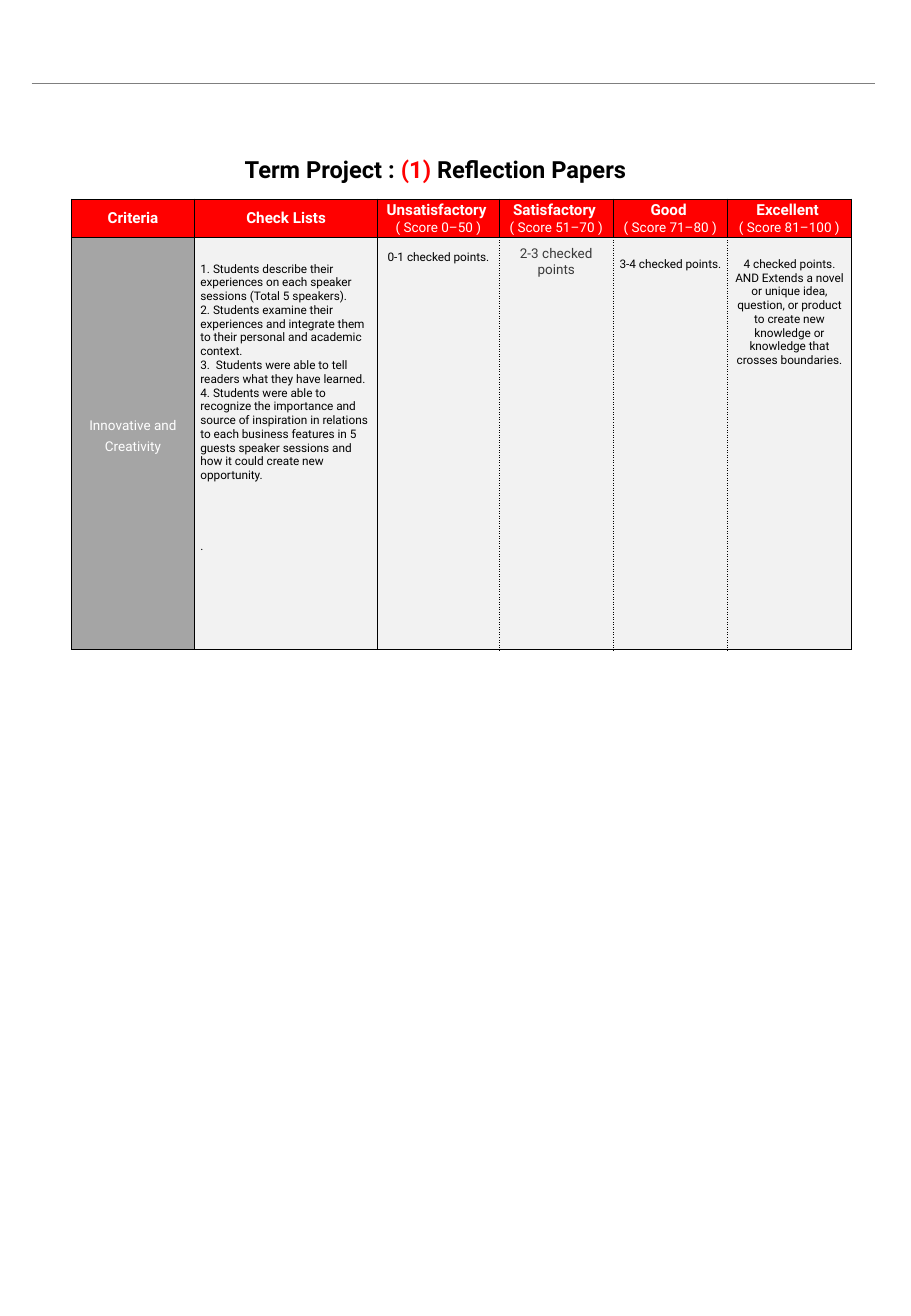
from lxml import etree
from pptx import Presentation
from pptx import util as u
from pptx.dml.color import RGBColor
from pptx.enum import text
from pptx.oxml import ns

COLORS = {"black": "000000", "white": "FFFFFF", "red": "FF0000", "rule": "7F7F7F",
          "criteria": "A5A5A5", "body": "F2F2F2", "muted": "3A3A3A"}
FONT = "Roboto"
WIDTH, HEIGHT = 7.5, 10.84
COLUMNS = [1.01, 1.51, 1, 0.94, 0.94, 1.02]
ROWS = [0.32, 3.39]
FIRST_DOTTED = 3
HEADERS = [("Criteria", None), ("Check Lists", None),
           ("Unsatisfactory ", "0–50"), ("Satisfactory ", "51–70"),
           ("Good ", "71–80"), ("Excellent ", "81–100")]
CHECKS = [
    "1. Students describe their experiences on each speaker sessions (Total 5 speakers).",
    "2. Students examine their experiences and integrate them to their personal and "
    "academic context.",
    "3.  Students were able to tell readers what they have learned.",
    "4. Students were able to recognize the importance and source of inspiration in "
    "relations to each business features in 5 guests speaker sessions and how it could "
    "create new opportunity.",
]
LEVELS = [
    ("0-1 checked points.", 0.1, 7, "black"),
    ("2-3 checked points", 0.07, 8, "muted"),
    ("3-4 checked points. ", 0.16, 7, "black"),
    ("4 checked points. AND Extends a novel or unique idea, question, or product to "
     "create new knowledge or knowledge that crosses boundaries.", 0.16, 7, "black"),
]


def color(name):
    """Return the named colour."""
    return RGBColor.from_string(COLORS[name])


def write(para, words, size=7, ink="black", bold=False, align=text.PP_ALIGN.CENTER):
    """Add a formatted span of text to a paragraph."""
    para.alignment = align
    span = para.add_run()
    span.text = words
    span.font.name = FONT
    span.font.size = u.Pt(size)
    span.font.bold = bold
    span.font.color.rgb = color(ink)


def add_rule(page, left, top, width):
    """Draw the thin line across the top of the page."""
    rule = page.shapes.add_connector(1, u.Inches(left), u.Inches(top),
                                     u.Inches(left + width), u.Inches(top))
    rule.line.color.rgb = color("rule")
    rule.line.width = u.Pt(0.75)
    etree.SubElement(rule._element.spPr, ns.qn("a:effectLst"))


def add_title(page, left, top, width, height):
    """Place the page title in its placeholder."""
    title = page.shapes.title
    title.left, title.top = u.Inches(left), u.Inches(top)
    title.width, title.height = u.Inches(width), u.Inches(height)
    frame = title.text_frame
    frame.auto_size = text.MSO_AUTO_SIZE.NONE
    frame.vertical_anchor = text.MSO_ANCHOR.TOP
    for words, ink in (("Term Project : ", "black"), ("(1) ", "red"),
                       ("Reflection Papers ", "black")):
        write(frame.paragraphs[0], words, size=14, ink=ink, bold=True)


def add_borders(cell, dotted):
    """Outline a cell, dotting the named sides."""
    props = cell._tc.get_or_add_tcPr()
    for index, side in enumerate("LRTB"):
        line = etree.Element(ns.qn(f"a:ln{side}"), w=str(u.Pt(0.75)))
        fill = etree.SubElement(line, ns.qn("a:solidFill"))
        etree.SubElement(fill, ns.qn("a:srgbClr"), val=COLORS["black"])
        etree.SubElement(line, ns.qn("a:prstDash"),
                         val="sysDot" if side in dotted else "solid")
        props.insert(index, line)


def style_cell(cell, fill, dotted="", anchor=text.MSO_ANCHOR.MIDDLE, above=0, below=0):
    """Set a cell's fill, borders, margins and anchor, and return its first paragraph."""
    cell.fill.solid()
    cell.fill.fore_color.rgb = color(fill)
    cell.margin_left = cell.margin_right = u.Inches(0.05)
    cell.margin_top, cell.margin_bottom = u.Inches(above), u.Inches(below)
    cell.vertical_anchor = anchor
    add_borders(cell, dotted)
    return cell.text_frame.paragraphs[0]


def fill_header(table):
    """Write the heading row."""
    for column, (name, score) in enumerate(HEADERS):
        cell = table.cell(0, column)
        write(style_cell(cell, "red"), name, size=9, ink="white", bold=True)
        if score:
            write(cell.text_frame.add_paragraph(), f"( Score {score} )", size=8, ink="white")


def fill_body(table):
    """Write the criterion, its check list and the four levels."""
    para = style_cell(table.cell(1, 0), "criteria", below=0.16)
    para.line_spacing = 1.3
    write(para, "Innovative and Creativity", size=8, ink="white")

    checks = table.cell(1, 1)
    para = style_cell(checks, "body", anchor=text.MSO_ANCHOR.TOP, above=0.2)
    for index, words in enumerate(CHECKS + ["."]):
        para = checks.text_frame.add_paragraph() if index else para
        write(para, words, align=text.PP_ALIGN.LEFT)
    para.space_before = u.Pt(34)

    for column, (words, above, size, ink) in enumerate(LEVELS, 2):
        dotted = ("L" if column >= FIRST_DOTTED else "") + (
            "R" if column < len(COLUMNS) - 1 else "")
        para = style_cell(table.cell(1, column), "body", dotted,
                          text.MSO_ANCHOR.TOP, above)
        write(para, words, size=size, ink=ink)


def add_rubric(page, left, top):
    """Build the rubric table from its column and row sizes."""
    table = page.shapes.add_table(
        len(ROWS), len(COLUMNS), u.Inches(left), u.Inches(top),
        u.Inches(sum(COLUMNS)), u.Inches(sum(ROWS))).table
    table.first_row = table.horz_banding = False
    for column, width in zip(table.columns, COLUMNS):
        column.width = u.Inches(width)
    for row, height in zip(table.rows, ROWS):
        row.height = u.Inches(height)
    fill_header(table)
    fill_body(table)


def main():
    """Build the deck and save it."""
    deck = Presentation()
    deck.slide_width, deck.slide_height = u.Inches(WIDTH), u.Inches(HEIGHT)
    page = deck.slides.add_slide(deck.slide_layouts[5])
    add_rule(page, 0.26, 0.69, 6.94)
    add_title(page, 0.52, 1.23, 6.18, 0.57)
    add_rubric(page, 0.59, 1.64)
    deck.save("out.pptx")


if __name__ == "__main__":
    main()
